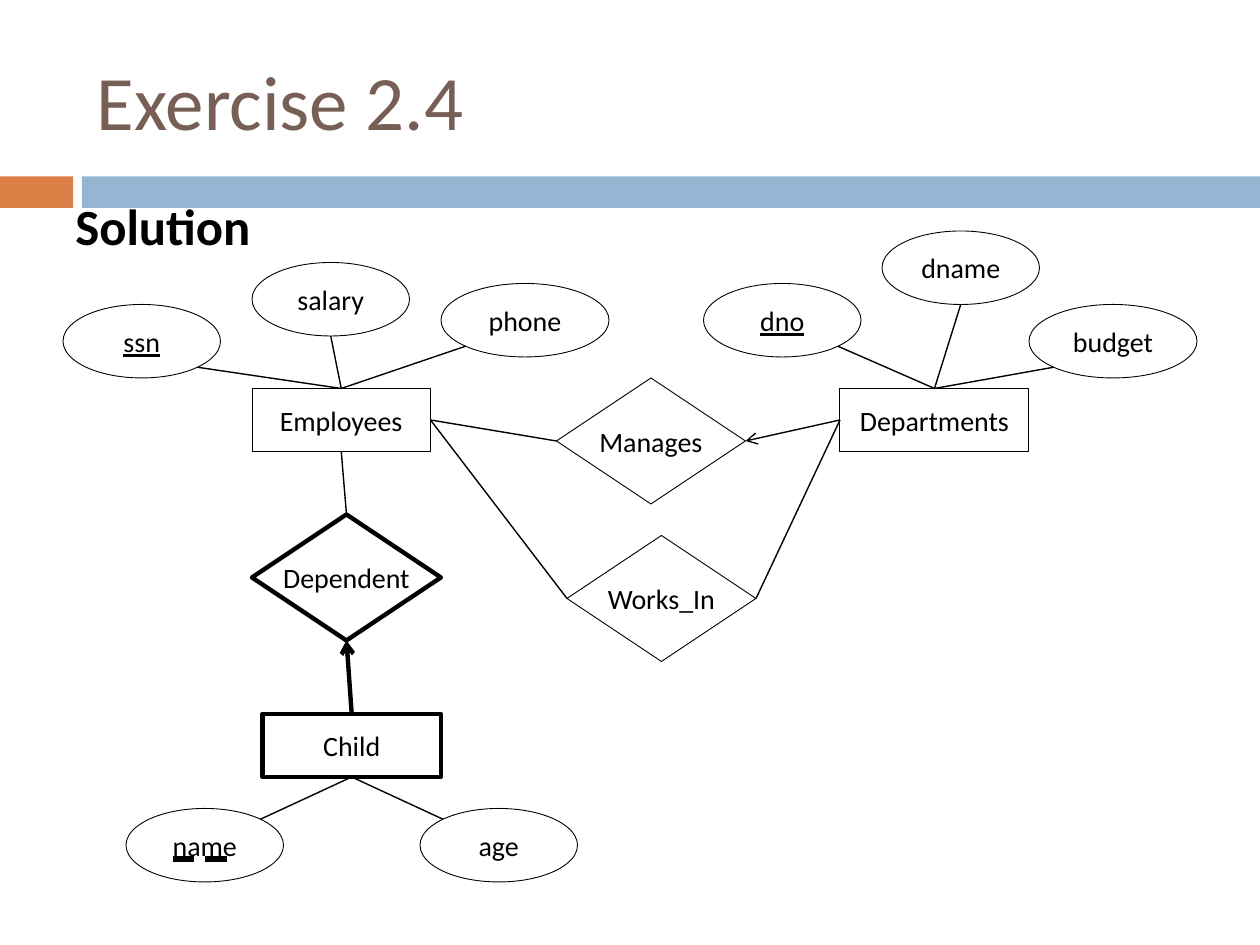
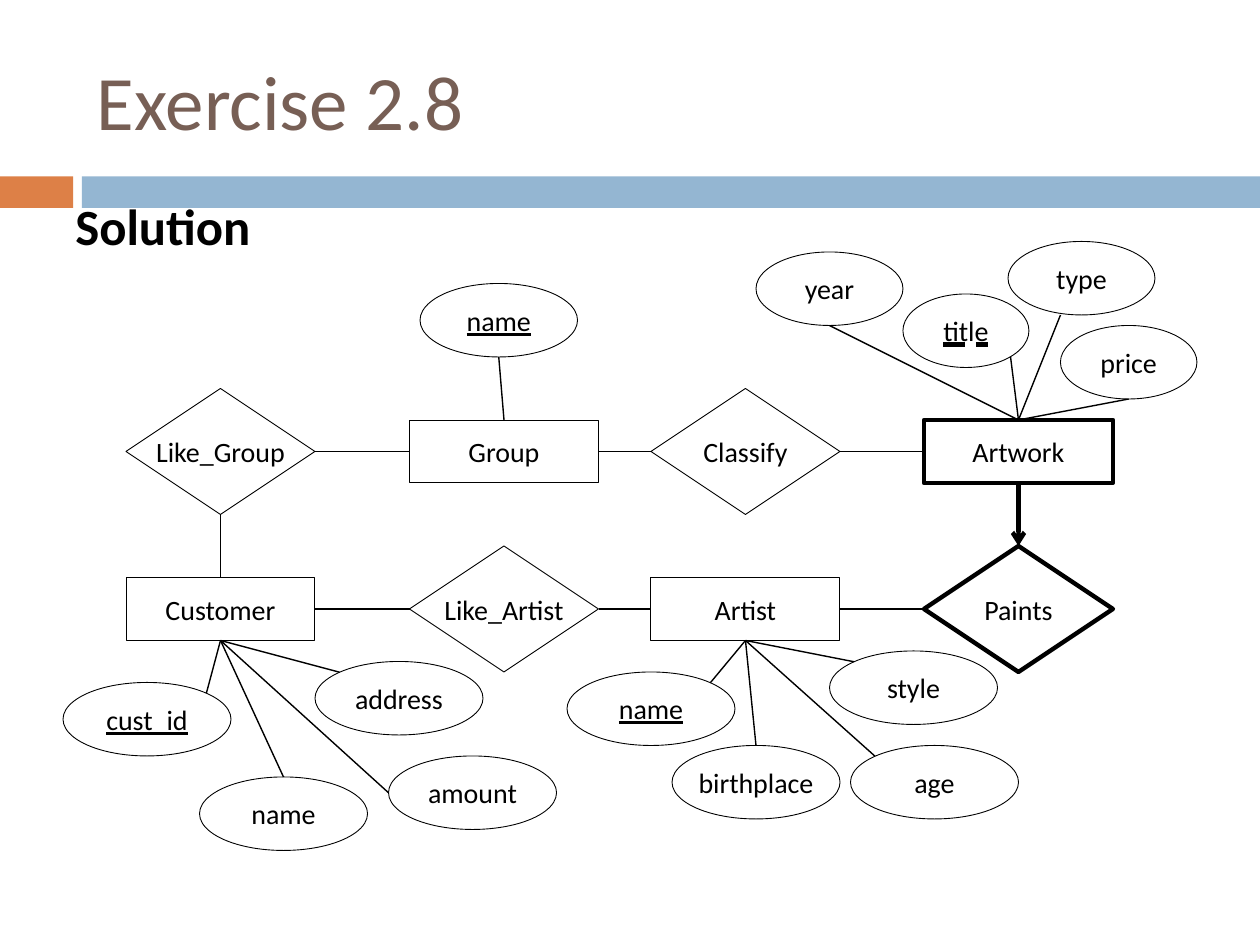
from math import sqrt

from pptx import Presentation
from pptx import util as u
from pptx.dml.color import RGBColor
from pptx.enum import shapes, text
from pptx.oxml.ns import qn
from lxml import etree

THEME = {
    "font": "Calibri",
    "ink": "000000", "paper": "FFFFFF", "title": "775F55",
    "accent": "DD8047", "band": "94B6D2",
    "title_size": 44, "heading_size": 29, "label_size": 16,
    "thin": 0.5, "link": 0.79, "bold": 2.5,
}

# Diagram places count in twelfths of an inch.
UNIT = 1 / 12
ENTITY_H, ATTRIBUTE_H = 6, 7
RELATION_W, RELATION_H = 18, 12

PLAIN, KEY, PARTIAL_KEY = None, True, text.MSO_UNDERLINE.DASH_HEAVY_LINE

# Entity: label, x, y, width, weak, side its attributes hang from,
#         attributes (label, x, y, width, underline, side or point met by the link)
# Relation: label, x, y, weak, links (entity, entity side, relation side, arrow)
SLIDES = [
    {
        "title": "Exercise 2.4",
        "entities": [
            ("Employees", 24, 37, 17, False, "t", [
                ("ssn", 6, 29, 15, KEY, "br"),
                ("salary", 24, 25, 15, PLAIN, "b"),
                ("phone", 42, 27, 16, PLAIN, "bl"),
            ]),
            ("Departments", 80, 37, 18, False, "t", [
                ("dno", 67, 27, 15, KEY, "br"),
                ("dname", 84, 22, 15, PLAIN, "b"),
                ("budget", 98, 29, 16, PLAIN, "bl"),
            ]),
            ("Child", 25, 68, 17, True, "b", [
                ("name", 12, 77, 15, PARTIAL_KEY, "tr"),
                ("age", 40, 77, 15, PLAIN, "tl"),
            ]),
        ],
        "relations": [
            ("Manages", 53, 36, False, [("Employees", "r", "l", False),
                                        ("Departments", "l", "r", True)]),
            ("Works_In", 54, 51, False, [("Employees", "r", "l", False),
                                         ("Departments", "l", "r", False)]),
            ("Dependent", 24, 49, True, [("Employees", "b", "t", False),
                                         ("Child", "t", "b", True)]),
        ],
    },
    {
        "title": "Exercise 2.8",
        "entities": [
            ("Group", 39, 40, 18, False, "t", [
                ("name", 40, 27, 15, KEY, "b"),
            ]),
            ("Artwork", 88, 40, 18, True, "t", [
                ("year", 72, 24, 14, PLAIN, "b"),
                ("title", 86, 28, 12, PARTIAL_KEY, "br"),
                ("type", 96, 23, 14, PLAIN, (101, 30)),
                ("price", 101, 31, 13, PLAIN, "b"),
            ]),
            ("Customer", 12, 55, 18, False, "b", [
                ("cust_id", 6, 65, 16, KEY, "tr"),
                ("name", 19, 74, 16, PLAIN, "t"),
                ("address", 30, 63, 16, PLAIN, "tl"),
                ("amount", 37, 72, 16, PLAIN, "l"),
            ]),
            ("Artist", 62, 55, 18, False, "b", [
                ("name", 54, 64, 16, KEY, "tr"),
                ("birthplace", 64, 71, 16, PLAIN, "t"),
                ("style", 79, 62, 16, PLAIN, "tl"),
                ("age", 81, 71, 16, PLAIN, "tl"),
            ]),
        ],
        "relations": [
            ("Like_Group", 12, 37, False, [("Group", "l", "r", False),
                                           ("Customer", "t", "b", False)]),
            ("Classify", 62, 37, False, [("Group", "r", "l", False),
                                         ("Artwork", "l", "r", False)]),
            ("Like_Artist", 39, 52, False, [("Customer", "r", "l", False),
                                            ("Artist", "l", "r", False)]),
            ("Paints", 88, 52, True, [("Artist", "r", "l", False),
                                      ("Artwork", "b", "t", True)]),
        ],
    },
]

SITES = {"t": 0, "l": 1, "b": 2, "r": 3}
STEPS = {"t": (0, -1), "b": (0, 1), "l": (-1, 0), "r": (1, 0)}


def color(name):
    return RGBColor.from_string(THEME[name])


def grid(n):
    return u.Inches(n * UNIT)


def style_text(p, size, ink="ink", bold=False, underline=None):
    for r in p.runs:
        r.font.name = THEME["font"]
        r.font.size = u.Pt(THEME[size])
        r.font.color.rgb = color(ink)
        r.font.bold = bold
        r.font.underline = underline


def add_band(slide, left, width, fill):
    sp = slide.shapes.add_shape(shapes.MSO_SHAPE.RECTANGLE, u.Inches(left),
                                u.Inches(1.4), u.Inches(width), u.Inches(0.25))
    sp.shadow.inherit = False
    sp.fill.solid()
    sp.fill.fore_color.rgb = color(fill)
    sp.line.fill.background()


def add_text(slide, box, words, anchor, **style):
    tf = slide.shapes.add_textbox(*map(u.Inches, box)).text_frame
    tf.word_wrap = True
    tf.vertical_anchor = anchor
    p = tf.paragraphs[0]
    p.text = words
    style_text(p, **style)
    return p


def add_frame(slide, title):
    """Bands, title and heading that every slide carries."""
    add_band(slide, 0, 0.58, "accent")
    add_band(slide, 0.65, 9.35, "band")
    add_text(slide, (0.67, 0.25, 8.92, 1.08), title, text.MSO_ANCHOR.MIDDLE,
             size="title_size", ink="title")
    heading = add_text(slide, (0.5, 1.5, 9, 5.58), "Solution",
                       text.MSO_ANCHOR.TOP, size="heading_size", bold=True)
    heading.space_before = u.Pt(7)


def add_node(slide, kind, label, x, y, w, h, weak=False, underline=None):
    sp = slide.shapes.add_shape(kind, grid(x), grid(y), grid(w), grid(h))
    sp.shadow.inherit = False
    sp.fill.solid()
    sp.fill.fore_color.rgb = color("paper")
    sp.line.color.rgb = color("ink")
    sp.line.width = u.Pt(THEME["bold" if weak else "thin"])
    tf = sp.text_frame
    tf.word_wrap = False
    tf.margin_left = tf.margin_right = tf.margin_top = tf.margin_bottom = 0
    tf.vertical_anchor = text.MSO_ANCHOR.MIDDLE
    p = tf.paragraphs[0]
    p.text = label
    p.alignment = text.PP_ALIGN.CENTER
    style_text(p, "label_size", underline=underline)
    return sp


def meeting_point(sp, side):
    """Point on the outline; a two-letter side is a diagonal of an ellipse."""
    dx = sum(STEPS[s][0] for s in side) / sqrt(len(side))
    dy = sum(STEPS[s][1] for s in side) / sqrt(len(side))
    return (int(sp.left + sp.width * (1 + dx) / 2),
            int(sp.top + sp.height * (1 + dy) / 2))


def add_link(slide, start, end, weight="link", arrow=False):
    c = slide.shapes.add_connector(shapes.MSO_CONNECTOR.STRAIGHT, *start, *end)
    c.line.color.rgb = color("ink")
    c.line.width = u.Pt(THEME[weight])
    if arrow:
        etree.SubElement(c.line._get_or_add_ln(), qn("a:tailEnd"), type="arrow")
    etree.SubElement(c._element.spPr, qn("a:effectLst"))
    return c


def add_attribute(slide, entity, side, attribute):
    label, x, y, w, underline, meets = attribute
    sp = add_node(slide, shapes.MSO_SHAPE.OVAL, label, x, y, w, ATTRIBUTE_H,
                  underline=underline)
    if isinstance(meets, str):
        end = meeting_point(sp, meets)
    else:
        end = tuple(map(grid, meets))
    c = add_link(slide, meeting_point(entity, side), end)
    c.begin_connect(entity, SITES[side])


def add_relation(slide, entities, label, x, y, weak, links):
    sp = add_node(slide, shapes.MSO_SHAPE.DIAMOND, label, x, y,
                  RELATION_W, RELATION_H, weak)
    for name, side, own_side, arrow in links:
        entity = entities[name]
        c = add_link(slide, meeting_point(entity, side),
                     meeting_point(sp, own_side),
                     "bold" if weak and arrow else "link", arrow)
        c.begin_connect(entity, SITES[side])
        c.end_connect(sp, SITES[own_side])


def main():
    prs = Presentation()
    prs.slide_width, prs.slide_height = u.Inches(10), u.Inches(7.5)
    for content in SLIDES:
        slide = prs.slides.add_slide(prs.slide_layouts[6])
        add_frame(slide, content["title"])
        entities = {}
        for label, x, y, w, weak, side, attributes in content["entities"]:
            entities[label] = add_node(slide, shapes.MSO_SHAPE.RECTANGLE, label,
                                       x, y, w, ENTITY_H, weak)
            for attribute in attributes:
                add_attribute(slide, entities[label], side, attribute)
        for relation in content["relations"]:
            add_relation(slide, entities, *relation)
    prs.save("out.pptx")


if __name__ == "__main__":
    main()
